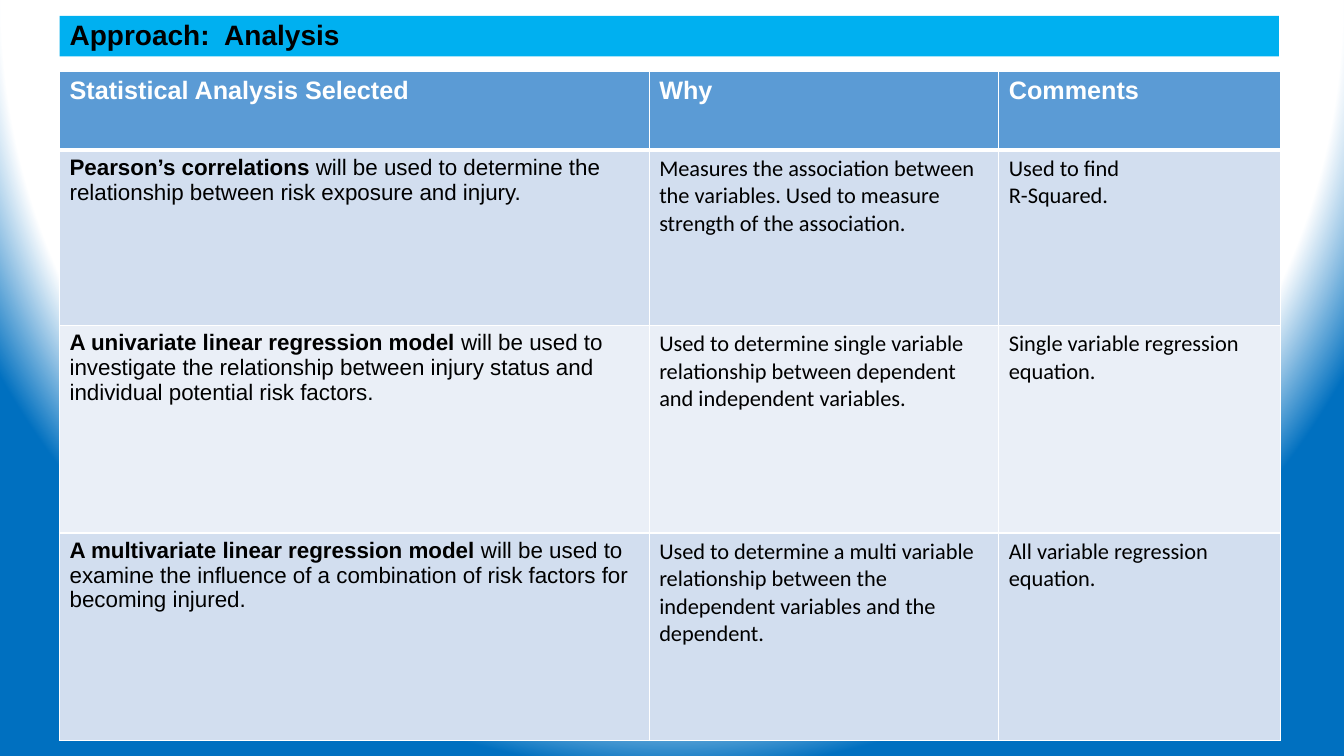
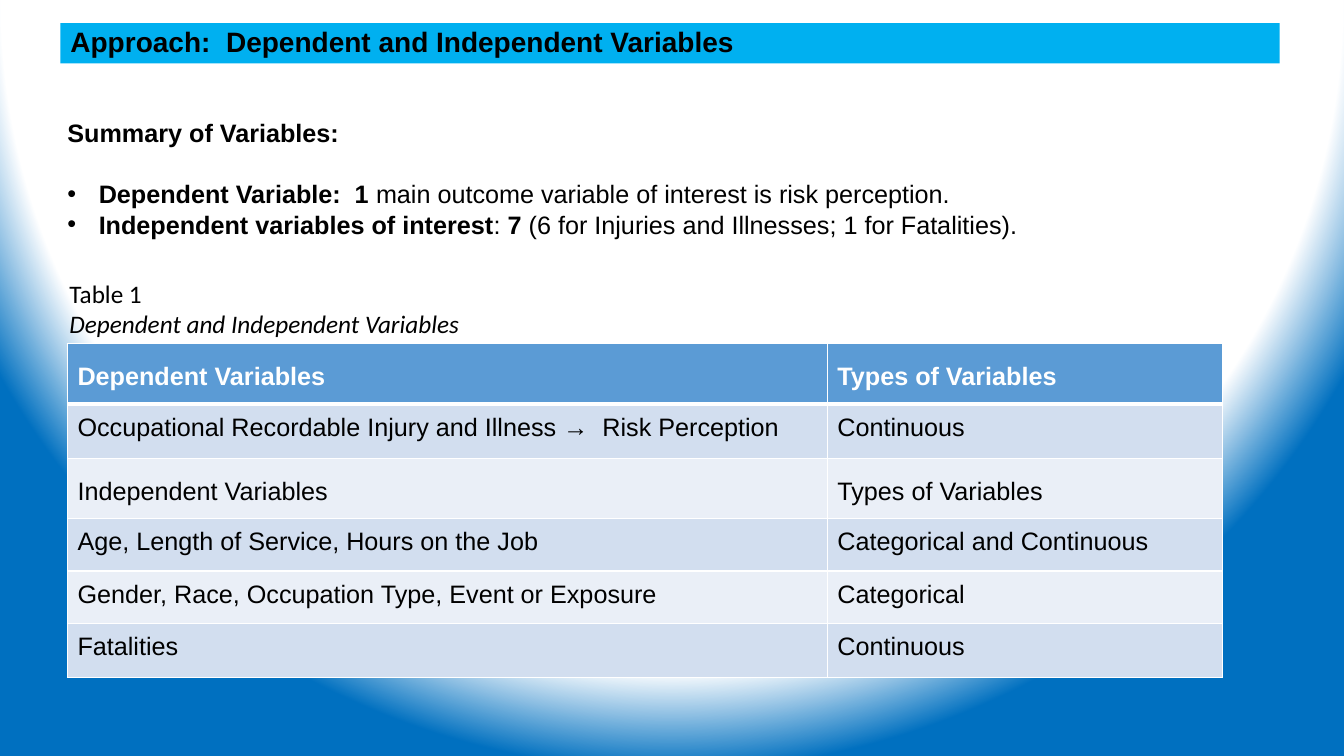
from dataclasses import dataclass
from lxml.etree import SubElement
from pptx import Presentation
from pptx.dml.color import RGBColor
from pptx.enum.text import MSO_ANCHOR, MSO_AUTO_SIZE, PP_ALIGN
from pptx.oxml import parse_xml
from pptx.oxml.ns import nsdecls, qn
from pptx.util import Cm, Pt


@dataclass(frozen=True)
class Theme:
    black: str = "000000"
    white: str = "FFFFFF"
    edge: str = "0070C0"
    band: str = "00B0F0"
    header: str = "5B9BD5"
    stripes: tuple = ("D2DEEF", "EAEFF7")
    sans: str = "Arial"
    text: str = "Calibri"
    title_size: int = 20
    body_size: int = 18
    cell_size: int = 16
    thin: int = 1
    thick: int = 3


theme = Theme()
BOLD = {"bold": True}
ITALIC = {"italic": True}

ANALYSIS = {
    "title": "Approach:  Analysis",
    "title_at": (1.5, 0.4),
    "table_at": (1.5, 1.8),
    "columns": (14.86, 8.81, 7.09),
    "heights": (1.98, 4.42, 5.23, 5.23),
    "spacings": (1.0, 1.0, 1.0, 1.0),
    "fonts": (theme.sans, theme.text, theme.text),
    "size": theme.cell_size,
    "rows": [
        ("Statistical Analysis Selected", "Why", "Comments"),
        (
            [[("Pearson’s correlations", BOLD),
              (" will be used to determine the relationship between risk exposure and injury.", {})]],
            "Measures the association between the variables. Used to measure strength of the association.",
            [[("Used to find", {})], [("R-Squared.", {})]],
        ),
        (
            [[("A univariate linear regression model", BOLD),
              (" will be used to investigate the relationship between injury status "
               "and individual potential risk factors.", {})]],
            "Used to determine single variable relationship between dependent and independent variables.",
            "Single variable regression equation.",
        ),
        (
            [[("A multivariate linear regression model", BOLD),
              (" will be used to examine the influence of a combination of risk factors "
               "for becoming injured.", {})]],
            "Used to determine a multi variable relationship between the independent variables and the dependent.",
            "All variable regression equation.",
        ),
    ],
}

VARIABLES = {
    "title": "Approach:  Dependent and Independent Variables",
    "title_at": (1.52, 0.58),
    "table_at": (1.7, 8.66),
    "columns": (19.15, 9.96),
    "heights": (1.52, 1.37, 1.52, 1.32, 1.32, 1.37),
    "spacings": (1.5, 1.15, 1.5, 1.15, 1.15, 1.15),
    "fonts": (theme.sans, theme.sans),
    "size": theme.body_size,
    "rows": [
        ("Dependent Variables", "Types of Variables"),
        ("Occupational Recordable Injury and Illness →  Risk Perception", "Continuous"),
        ("Independent Variables", "Types of Variables"),
        ("Age, Length of Service, Hours on the Job", "Categorical and Continuous"),
        ("Gender, Race, Occupation Type, Event or Exposure", "Categorical"),
        ("Fatalities", "Continuous"),
    ],
}

SUMMARY = [
    [("Summary of Variables:", BOLD)],
    [("Dependent Variable:  1 ", BOLD), ("main outcome variable of interest is risk perception.", {})],
    [("Independent variables of interest", BOLD), (": ", {}), ("7 ", BOLD),
     ("(6 for Injuries and Illnesses; 1 for Fatalities).", {})],
]
CAPTION = [[("Table 1", {})], [("Dependent and Independent Variables", ITALIC)]]


def apply(target, formats):
    for name, value in formats.items():
        setattr(target, name, value)


def write(frame, content, font, size, color=theme.black, bold=False, spacing=1.0):
    paragraphs = [[(content, {})]] if isinstance(content, str) else content
    for index, runs in enumerate(paragraphs):
        paragraph = frame.add_paragraph() if index else frame.paragraphs[0]
        apply(paragraph, {"alignment": PP_ALIGN.LEFT, "line_spacing": spacing})
        for text, style in runs:
            run = paragraph.add_run()
            run.text = text
            apply(run.font, {"name": font, "size": Pt(size), "bold": bold, **style})
            run.font.color.rgb = RGBColor.from_string(color)


def fill(target, color):
    target.fill.solid()
    target.fill.fore_color.rgb = RGBColor.from_string(color)


def paint_background(master):
    stops = "".join(
        f'<a:gs pos="{position}"><a:srgbClr val="{color}"/></a:gs>'
        for position, color in ((0, theme.white), (87000, theme.white), (100000, theme.edge))
    )
    common = master.element.find(qn("p:cSld"))
    common.remove(common.find(qn("p:bg")))
    common.insert(0, parse_xml(
        f'<p:bg {nsdecls("p", "a")}><p:bgPr><a:gradFill rotWithShape="1"><a:gsLst>{stops}</a:gsLst>'
        '<a:path path="circle"><a:fillToRect l="50000" t="-80000" r="50000" b="180000"/></a:path>'
        '</a:gradFill><a:effectLst/></p:bgPr></p:bg>'
    ))


def add_titled_slide(presentation, content):
    slide = presentation.slides.add_slide(presentation.slide_layouts[5])
    title = slide.shapes.title
    left, top = content["title_at"]
    apply(title, {"left": Cm(left), "top": Cm(top), "width": Cm(30.73), "height": Cm(1.02)})
    fill(title, theme.band)
    apply(title.text_frame, {
        "vertical_anchor": MSO_ANCHOR.MIDDLE, "word_wrap": True, "auto_size": MSO_AUTO_SIZE.NONE,
    })
    write(title.text_frame, content["title"], theme.sans, theme.title_size, bold=True, spacing=0.9)
    return slide


def add_borders(cell, bottom):
    properties = cell._tc.get_or_add_tcPr()
    widths = {"lnL": theme.thin, "lnR": theme.thin, "lnT": theme.thin, "lnB": bottom}
    for index, (side, width) in enumerate(widths.items()):
        properties.insert(index, parse_xml(
            f'<a:{side} {nsdecls("a")} w="{Pt(width)}"><a:solidFill>'
            f'<a:srgbClr val="{theme.white}"/></a:solidFill></a:{side}>'
        ))


def add_grid(slide, content):
    rows, columns, heights = content["rows"], content["columns"], content["heights"]
    left, top = content["table_at"]
    table = slide.shapes.add_table(
        len(rows), len(columns), Cm(left), Cm(top), Cm(sum(columns)), Cm(sum(heights))
    ).table
    for column, width in zip(table.columns, columns):
        column.width = Cm(width)
    for index, (row, height, spacing) in enumerate(zip(table.rows, heights, content["spacings"])):
        row.height = Cm(height)
        header = index == 0
        for cell, text, font in zip(row.cells, rows[index], content["fonts"]):
            fill(cell, theme.header if header else theme.stripes[(index - 1) % 2])
            add_borders(cell, theme.thick if header or index == 0 else theme.thin)
            if header:
                write(cell.text_frame, text, theme.sans, theme.body_size, theme.white, True, spacing)
            else:
                write(cell.text_frame, text, font, content["size"], spacing=spacing)


def add_text(slide, content, font, left, top, width, height):
    frame = slide.shapes.add_textbox(Cm(left), Cm(top), Cm(width), Cm(height)).text_frame
    frame.word_wrap = True
    write(frame, content, font, theme.body_size)
    return frame


def add_bullet(paragraph):
    properties = paragraph._p.get_or_add_pPr()
    indent = Cm(0.79)
    properties.set("marL", str(indent))
    properties.set("indent", str(-indent))
    SubElement(properties, qn("a:buFont")).set("typeface", theme.sans)
    SubElement(properties, qn("a:buChar")).set("char", "•")


presentation = Presentation()
apply(presentation, {"slide_width": Cm(33.87), "slide_height": Cm(19.05)})
paint_background(presentation.slide_master)

analysis_slide = add_titled_slide(presentation, ANALYSIS)
add_grid(analysis_slide, ANALYSIS)

variables_slide = add_titled_slide(presentation, VARIABLES)
summary = add_text(variables_slide, SUMMARY, theme.sans, 1.45, 2.84, 28.32, 3.33)
heading, *bullets = summary.paragraphs
heading.space_after = Pt(22)
for bullet in bullets:
    add_bullet(bullet)
add_grid(variables_slide, VARIABLES)
add_text(variables_slide, CAPTION, theme.text, 1.5, 6.88, 16.94, 1.8)

presentation.save("out.pptx")
